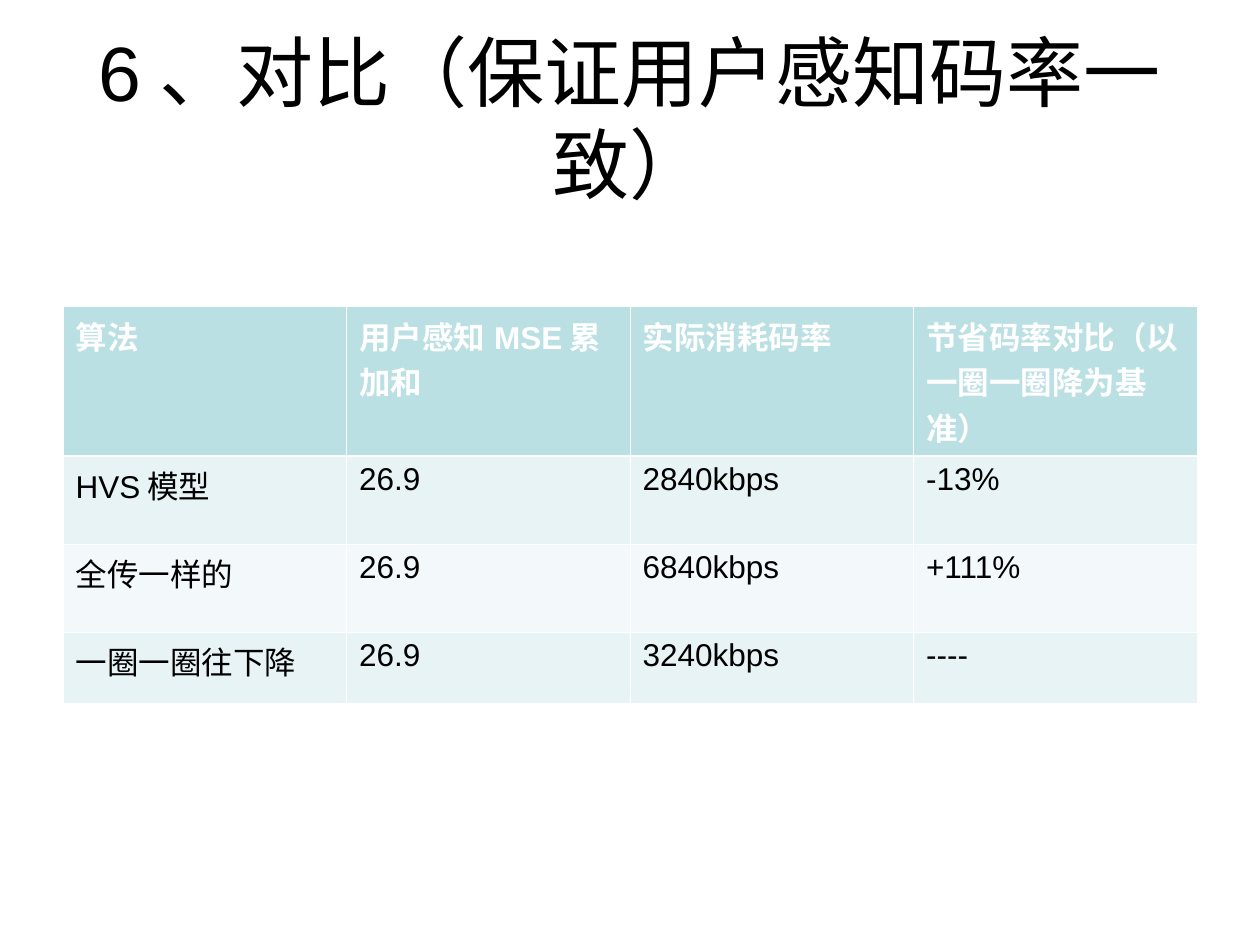
from lxml import etree
from pptx import Presentation
from pptx.dml.color import RGBColor
from pptx.enum.text import MSO_ANCHOR, PP_ALIGN
from pptx.oxml.ns import qn
from pptx.util import Pt

CENTER, LEFT = PP_ALIGN.CENTER, PP_ALIGN.LEFT
MIDDLE = MSO_ANCHOR.MIDDLE

TITLE = "6、对比（保证用户感知码率一致）"
ROWS = [
    ("算法", "用户感知MSE累加和", "实际消耗码率", "节省码率对比（以一圈一圈降为基准）"),
    ("HVS模型", "26.9", "2840kbps", "-13%"),
    ("全传一样的", "26.9", "6840kbps", "+111%"),
    ("一圈一圈往下降", "26.9", "3240kbps", "----"),
]
ROW_HEIGHTS = [72, 50.4, 50.4, 41]
THEME = {
    "font": "Arial", "title": 44, "cell": 18,
    "text": "000000", "header_text": "FFFFFF", "header": "BBE0E3",
    "bands": ("F3F9FA", "E7F3F4"),
    "border": "FFFFFF", "thin": 0.45, "thick": 1.47,
}
MARGIN, WIDTH = 36, 648
TITLE_TOP, TITLE_HEIGHT, TABLE_TOP = 21.6, 90, 175


def set_font(p, size, color, bold=False):
    f = p.font
    f.name, f.size, f.bold = THEME["font"], Pt(size), bold
    f.color.rgb = RGBColor.from_string(color)


def set_borders(cell, row):
    tc_pr = cell._tc.get_or_add_tcPr()
    thick_side = {0: "B", 1: "T"}.get(row)
    for side in "LRTB":
        width = THEME["thick" if side == thick_side else "thin"]
        ln = etree.SubElement(tc_pr, qn(f"a:ln{side}"), w=str(int(Pt(width))))
        fill = etree.SubElement(ln, qn("a:solidFill"))
        etree.SubElement(fill, qn("a:srgbClr"), val=THEME["border"])


def add_title(s):
    sp = s.shapes.title
    sp.left, sp.top = Pt(MARGIN), Pt(TITLE_TOP)
    sp.width, sp.height = Pt(WIDTH), Pt(TITLE_HEIGHT)
    tf = sp.text_frame
    tf.text, tf.word_wrap, tf.vertical_anchor = TITLE, True, MIDDLE
    p = tf.paragraphs[0]
    p.alignment = CENTER
    set_font(p, THEME["title"], THEME["text"])


def add_comparison(s):
    table = s.shapes.add_table(
        len(ROWS), len(ROWS[0]), Pt(MARGIN), Pt(TABLE_TOP),
        Pt(WIDTH), Pt(sum(ROW_HEIGHTS))).table
    for i, (texts, height) in enumerate(zip(ROWS, ROW_HEIGHTS)):
        header = i == 0
        table.rows[i].height = Pt(height)
        fill = THEME["header"] if header else THEME["bands"][i % 2]
        color = THEME["header_text" if header else "text"]
        for j, text in enumerate(texts):
            cell = table.cell(i, j)
            cell.text = text
            set_borders(cell, i)
            cell.fill.solid()
            cell.fill.fore_color.rgb = RGBColor.from_string(fill)
            p = cell.text_frame.paragraphs[0]
            p.alignment = LEFT
            set_font(p, THEME["cell"], color, header)


def main():
    prs = Presentation()
    prs.slide_width, prs.slide_height = Pt(720), Pt(540)
    s = prs.slides.add_slide(prs.slide_layouts[5])
    add_title(s)
    add_comparison(s)
    prs.save("out.pptx")


if __name__ == "__main__":
    main()
